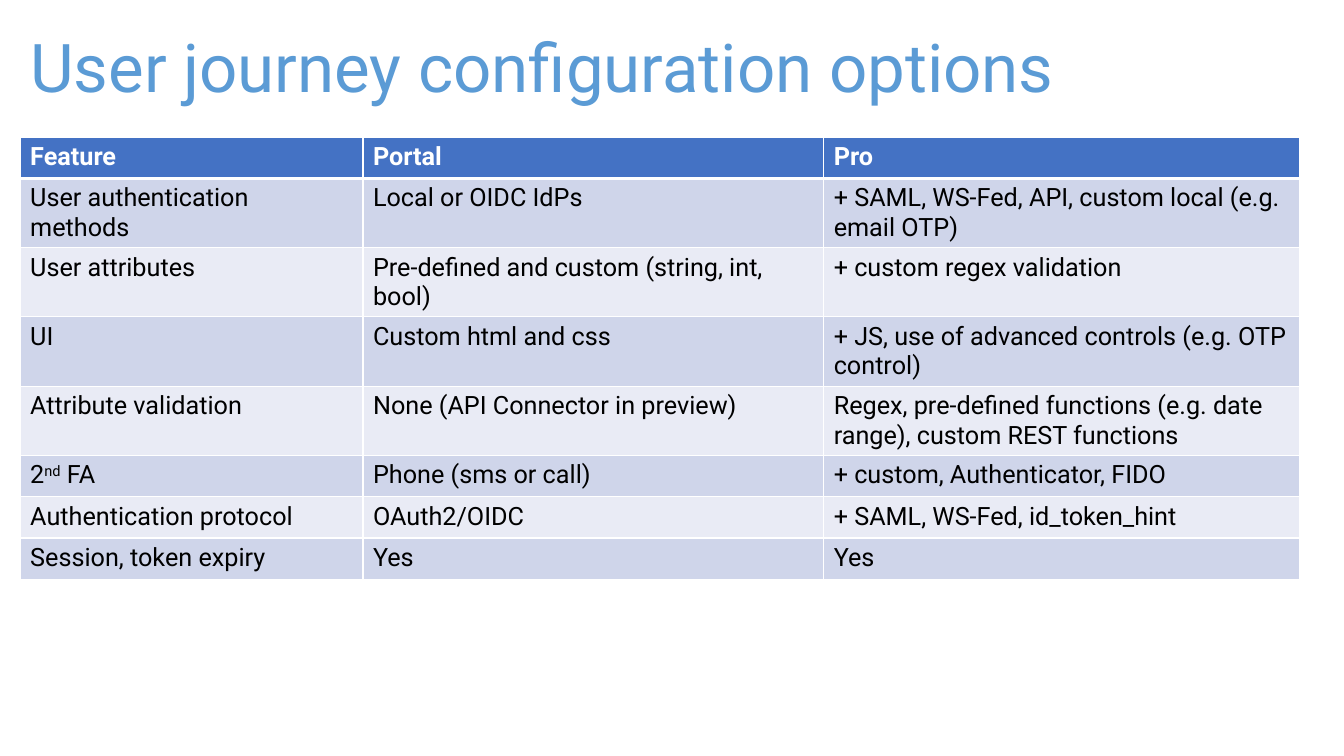
from lxml.etree import SubElement
from pptx import Presentation
from pptx.dml.color import RGBColor
from pptx.enum.text import MSO_ANCHOR, MSO_AUTO_SIZE, PP_ALIGN
from pptx.oxml.ns import qn
from pptx.util import Inches, Pt

FONT = "Roboto"
COLORS = {
    "title": "5B9BD5",
    "header": "4472C4",
    "odd_row": "CFD5EA",
    "even_row": "E9EBF5",
    "header_text": "FFFFFF",
    "text": "000000",
    "border": "FFFFFF",
}
COLUMN_WIDTHS = [3.4, 4.57, 4.72]
ROW_HEIGHT = 0.41
# Text between carets is superscript
OPTIONS = [
    ("Feature", "Portal", "Pro"),
    ("User authentication methods", "Local or OIDC IdPs",
     "+ SAML, WS-Fed, API, custom local (e.g. email OTP)"),
    ("User attributes", "Pre-defined and custom (string, int, bool)",
     "+ custom regex validation"),
    ("UI", "Custom html and css",
     "+ JS, use of advanced controls (e.g. OTP control)"),
    ("Attribute validation", "None (API Connector in preview)",
     "Regex, pre-defined functions (e.g. date range), custom REST functions"),
    ("2^nd^ FA", "Phone (sms or call)", "+ custom, Authenticator, FIDO"),
    ("Authentication protocol", "OAuth2/OIDC", "+ SAML, WS-Fed, id_token_hint"),
    ("Session, token expiry", "Yes", "Yes"),
]


def format_font(font, size, color, bold=False):
    font.name = FONT
    font.size = Pt(size)
    font.bold = bold
    font.color.rgb = RGBColor.from_string(COLORS[color])


def add_border(cell, side, width):
    line = SubElement(cell._tc.get_or_add_tcPr(), qn(f"a:ln{side}"), w=str(Pt(width)))
    fill = SubElement(line, qn("a:solidFill"))
    SubElement(fill, qn("a:srgbClr"), val=COLORS["border"])


prs = Presentation()
prs.slide_width = Inches(13.33)
prs.slide_height = Inches(7.5)
slide = prs.slides.add_slide(prs.slide_layouts[5])

# Title
title = slide.shapes.title
title.left, title.top = Inches(0.2), Inches(0.2)
title.width, title.height = Inches(12.99), Inches(1)
title.text_frame.text = "User journey configuration options"
title.text_frame.auto_size = MSO_AUTO_SIZE.NONE
title.text_frame.vertical_anchor = MSO_ANCHOR.MIDDLE
heading = title.text_frame.paragraphs[0]
heading.alignment = PP_ALIGN.LEFT
heading.line_spacing = 0.9
format_font(heading.runs[0].font, 48, "title")

# Options table
options_table = slide.shapes.add_table(
    len(OPTIONS), len(COLUMN_WIDTHS), Inches(0.2), Inches(1.36),
    Inches(sum(COLUMN_WIDTHS)), Inches(ROW_HEIGHT * len(OPTIONS))).table
for column, width in zip(options_table.columns, COLUMN_WIDTHS):
    column.width = Inches(width)

for row_index, option in enumerate(OPTIONS):
    options_table.rows[row_index].height = Inches(ROW_HEIGHT)
    is_header = row_index == 0
    row_fill = "header" if is_header else "odd_row" if row_index % 2 else "even_row"
    for column_index, wording in enumerate(option):
        cell = options_table.cell(row_index, column_index)

        # Borders, with a thick rule under the header
        for side in "LRTB":
            under_header = (row_index, side) in [(0, "B"), (1, "T")]
            add_border(cell, side, 3 if under_header else 1)
        cell.fill.solid()
        cell.fill.fore_color.rgb = RGBColor.from_string(COLORS[row_fill])

        # Wording
        paragraph = cell.text_frame.paragraphs[0]
        for part_index, part in enumerate(wording.split("^")):
            run = paragraph.add_run()
            run.text = part
            format_font(run.font, 18, "header_text" if is_header else "text", is_header)
            if part_index % 2:
                run._r.get_or_add_rPr().set("baseline", "30000")

prs.save("out.pptx")
